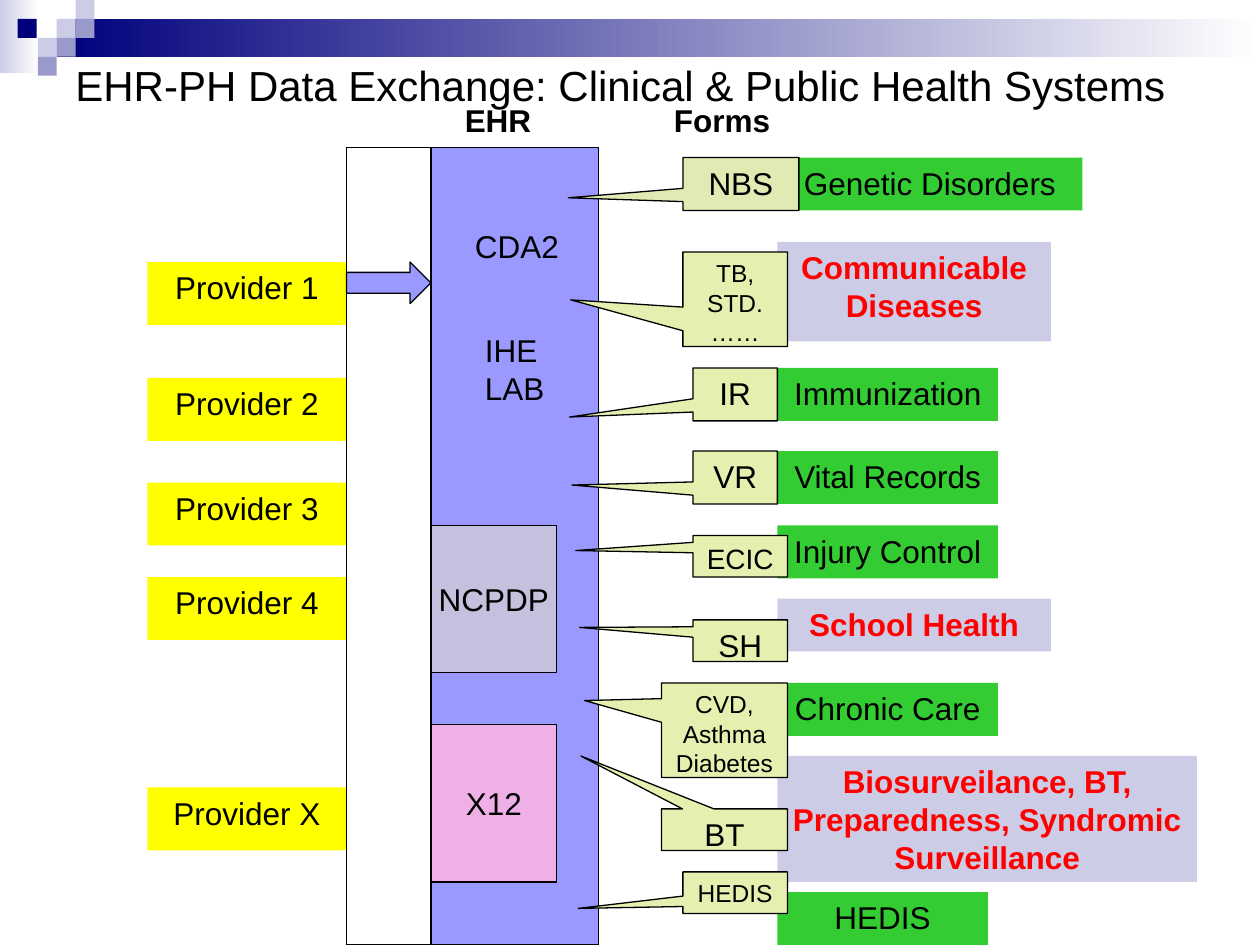
from dataclasses import dataclass

from pptx import Presentation
from pptx.dml.color import RGBColor
from pptx.enum import shapes, text
from pptx.util import Inches, Pt


@dataclass(frozen=True)
class Theme:
    font: str = "Arial"
    title: int = 24
    body: int = 18
    medium: int = 16
    small: int = 14
    outline: float = 0.75
    black: str = "000000"
    white: str = "FFFFFF"
    navy: str = "00007D"
    pale: str = "CCCCE6"
    lavender: str = "9999CC"
    violet: str = "9999FF"
    yellow: str = "FFFF00"
    green: str = "33CC33"
    red: str = "FF0000"
    pink: str = "EEB0E7"
    mauve: str = "C4C0DE"
    cream: str = "E6EFAF"
    nbs_cream: str = "E2EAB4"


THEME = Theme()
KIND = shapes.MSO_SHAPE
TILE = 0.15

GRADIENT_BARS = [
    ((0, 0, 0.31, 0.58), THEME.pale),
    ((0.45, 0.15, 9.55, 0.3), THEME.navy),
]
TILES = [
    (0.45, 0.15, THEME.pale),
    (0.6, 0, THEME.pale),
    (0.6, 0.15, THEME.lavender),
    (0.3, 0.3, THEME.pale),
    (0.14, 0.15, THEME.navy),
    (0.45, 0.3, THEME.lavender),
    (0.3, 0.45, THEME.lavender),
]
PROVIDERS = [
    ("Provider 1", 2.08),
    ("Provider 2", 3),
    ("Provider 3", 3.83),
    ("Provider 4", 4.58),
    ("Provider X", 6.25),
]
TOPICS = [
    ("Communicable Diseases", 1.92, 2.17, 0.79, True),
    ("Immunization", 2.92, 1.75, 0.42, False),
    ("Vital Records", 3.58, 1.75, 0.42, False),
    ("Injury Control", 4.17, 1.75, 0.42, False),
    ("School Health", 4.75, 2.17, 0.42, True),
    ("Chronic Care", 5.42, 1.75, 0.42, False),
    ("Biosurveilance, BT, Preparedness, Syndromic Surveillance", 6, 3.33, 1, True),
    ("Genetic Disorders", 1.25, 2.42, 0.42, False),
    ("HEDIS", 7.08, 1.67, 0.42, False),
]
STANDARDS = [
    ("X12", (3.42, 5.75, 1, 1.25), THEME.pink),
    ("NCPDP", (3.42, 4.17, 1, 1.17), THEME.mauve),
]
LABELS = [
    ("EHR", (3.59, 0.75, 0.79, 0.4), True),
    ("Forms", (5.25, 0.75, 1.02, 0.4), True),
    ("CDA2", (3.67, 1.75, 0.92, 0.4), False),
    ("IHE\nLAB", (3.75, 2.58, 0.72, 0.7), False),
]
FORMS = [
    ("NBS", (5.42, 1.25, 0.92, 0.42), (4.51, 1.57), THEME.body, THEME.nbs_cream),
    ("TB, STD.\n……", (5.42, 2, 0.83, 0.75), (4.53, 2.38), THEME.small, THEME.cream),
    ("IR", (5.5, 2.92, 0.67, 0.42), (4.52, 3.31), THEME.body, THEME.cream),
    ("VR", (5.5, 3.58, 0.67, 0.42), (4.54, 3.85), THEME.body, THEME.cream),
    ("ECIC", (5.5, 4.25, 0.75, 0.33), (4.57, 4.37), THEME.medium, THEME.cream),
    ("SH", (5.5, 4.92, 0.75, 0.33), (4.6, 4.98), THEME.body, THEME.cream),
    ("CVD, Asthma Diabetes", (5.25, 5.42, 1, 0.75), (4.64, 5.56), THEME.small, THEME.cream),
    ("BT", (5.25, 6.42, 1, 0.33), (4.61, 6), THEME.body, THEME.cream),
    ("HEDIS", (5.42, 6.92, 0.83, 0.33), (4.59, 7.21), THEME.small, THEME.cream),
]


def write(shape, words, *, size=THEME.body, color=THEME.black, bold=False,
          align=text.PP_ALIGN.CENTER, anchor=text.MSO_ANCHOR.TOP, side=0.1, wrap=True):
    frame = shape.text_frame
    frame.text = words
    frame.word_wrap = wrap
    frame.vertical_anchor = anchor
    frame.margin_left = frame.margin_right = Inches(side)
    frame.margin_top = frame.margin_bottom = Inches(0.05)
    for paragraph in frame.paragraphs:
        paragraph.alignment = align
        paragraph.font.name = THEME.font
        paragraph.font.size = Pt(size)
        paragraph.font.bold = bold
        paragraph.font.color.rgb = RGBColor.from_string(color)


def add_block(slide, box, fill, kind=KIND.RECTANGLE, outlined=False):
    shape = slide.shapes.add_shape(kind, *map(Inches, box))
    shape.shadow.inherit = False
    shape.fill.solid()
    shape.fill.fore_color.rgb = RGBColor.from_string(fill)
    if outlined:
        shape.line.color.rgb = RGBColor.from_string(THEME.black)
        shape.line.width = Pt(THEME.outline)
    else:
        shape.line.fill.background()
    return shape


def add_label(slide, words, box, **style):
    shape = slide.shapes.add_textbox(*map(Inches, box))
    write(shape, words, align=text.PP_ALIGN.LEFT, **style)


def add_header(slide):
    for box, color in GRADIENT_BARS:
        bar = add_block(slide, box, color)
        bar.fill.gradient()
        bar.fill.gradient_angle = 0
        for stop, shade in zip(bar.fill.gradient_stops, (color, THEME.white)):
            stop.color.rgb = RGBColor.from_string(shade)
    for left, top, color in TILES:
        add_block(slide, (left, top, TILE, TILE), color)


def add_callout(slide, words, box, tip, size, fill):
    left, top, width, height = box
    callout = add_block(slide, box, fill, KIND.RECTANGULAR_CALLOUT, outlined=True)
    callout.adjustments[0] = (tip[0] - left) / width - 0.5
    callout.adjustments[1] = (tip[1] - top) / height - 0.5
    write(callout, words, size=size)


def main():
    """Build the clinical and public health data exchange slide."""
    presentation = Presentation()
    presentation.slide_width = Inches(10)
    presentation.slide_height = Inches(7.5)
    slide = presentation.slides.add_slide(presentation.slide_layouts[6])

    add_header(slide)
    for words, top in PROVIDERS:
        write(add_block(slide, (1.17, top, 1.58, 0.5), THEME.yellow), words, side=0.05)
    for words, top, width, height, urgent in TOPICS:
        block = add_block(slide, (6.17, top, width, height),
                          THEME.pale if urgent else THEME.green)
        write(block, words, color=THEME.red if urgent else THEME.black,
              bold=urgent, side=0.05)

    add_block(slide, (3.42, 1.17, 1.33, 6.33), THEME.violet, outlined=True)
    for words, box, fill in STANDARDS:
        write(add_block(slide, box, fill, outlined=True), words,
              anchor=text.MSO_ANCHOR.MIDDLE, wrap=False)
    for form in FORMS:
        add_callout(slide, *form)
    add_block(slide, (2.75, 1.17, 0.67, 6.33), THEME.white, outlined=True)
    add_block(slide, (2.75, 2.08, 0.67, 0.33), THEME.violet, KIND.RIGHT_ARROW, outlined=True)

    for words, box, bold in LABELS:
        add_label(slide, words, box, bold=bold)
    add_label(slide, "EHR-PH Data Exchange: Clinical & Public Health Systems",
              (0.5, 0.42, 9.25, 0.5), size=THEME.title, anchor=text.MSO_ANCHOR.MIDDLE)
    presentation.save("out.pptx")


if __name__ == "__main__":
    main()
